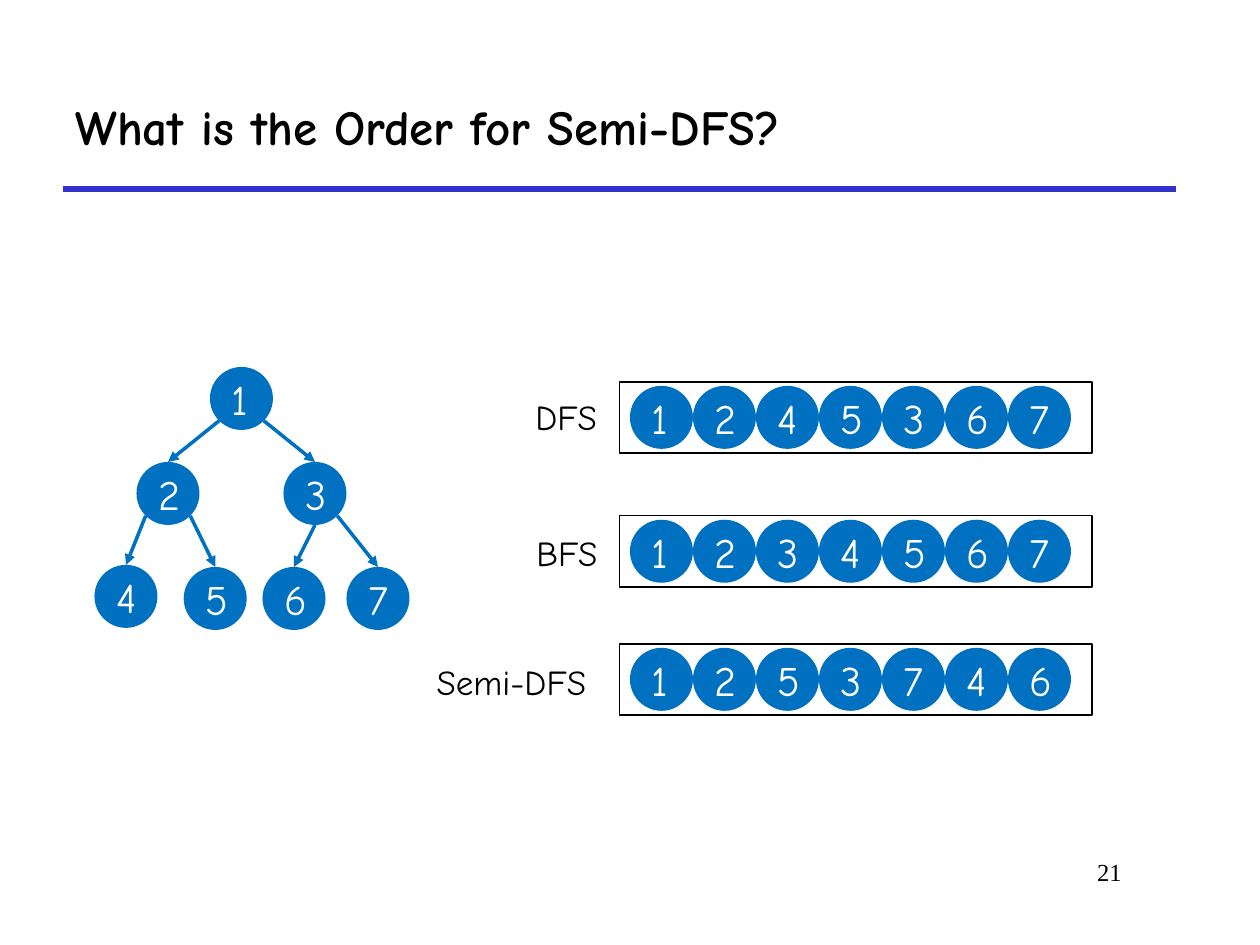
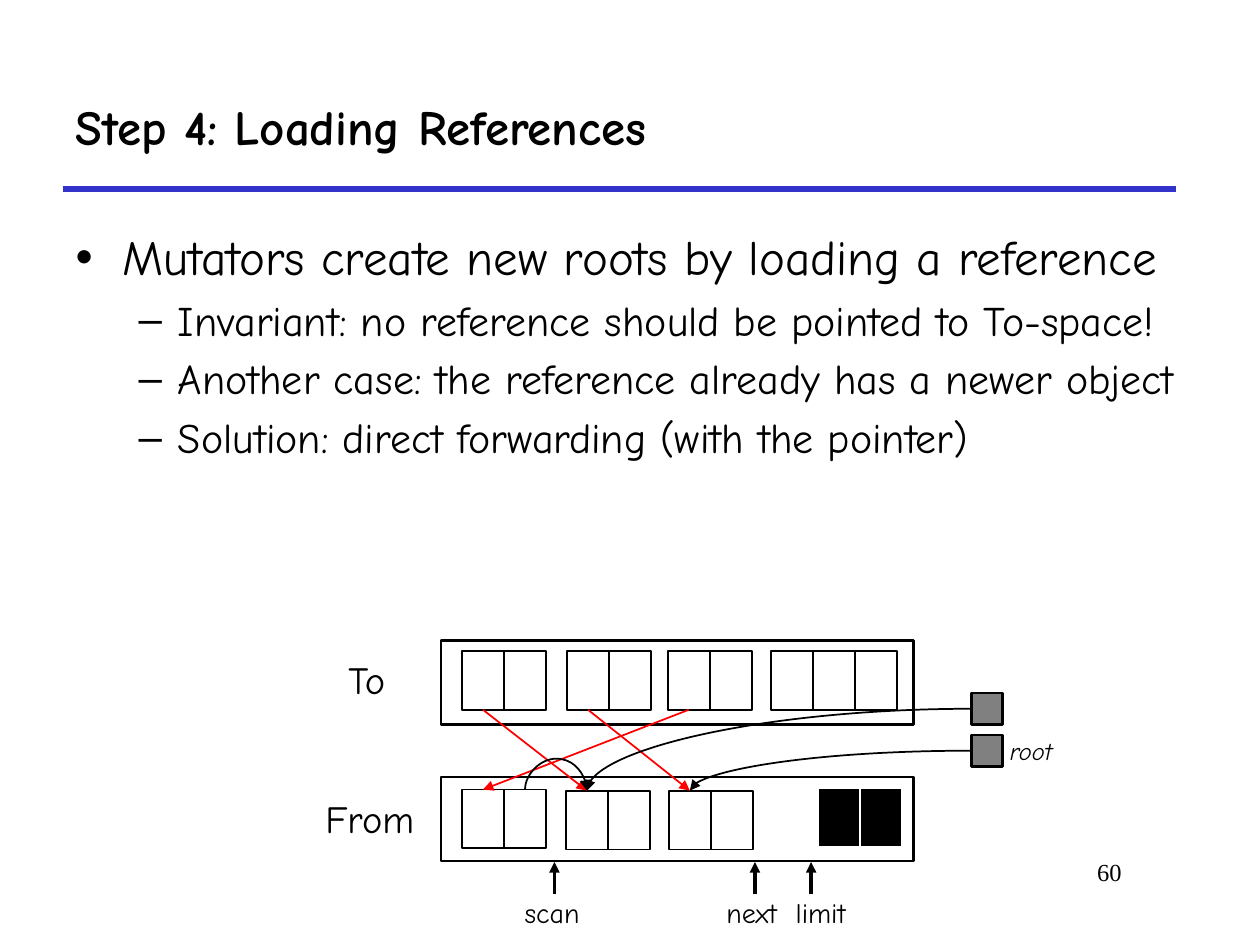
from lxml.etree import SubElement
from pptx import Presentation
from pptx.dml.color import RGBColor
from pptx.enum.shapes import MSO_CONNECTOR as CONN, MSO_SHAPE as SHAPE
from pptx.enum.text import MSO_ANCHOR as ANCHOR, MSO_AUTO_SIZE as FIT, PP_ALIGN as ALIGN
from pptx.oxml.ns import qn
from pptx.util import Inches, Pt

prs = Presentation()
prs.slide_width, prs.slide_height = Inches(10), Inches(7.5)

# Grid: 120 columns by 90 rows of square units
U = prs.slide_width // 120
BLACK, WHITE, RULE, NODE, RED, GREY = "000000", "FFFFFF", "3333CC", "0070C0", "FF0000", "808080"
FONT = "Comic Neue"
NODE_D = 6


def rgb(hex_code):
    return RGBColor.from_string(hex_code)


def box(s, kind, at, text="", fill=None, line=None, color=BLACK, wrap=False,
        align=ALIGN.LEFT, **fmt):
    """Add a shape, or a text box when kind is None, at (col, row, width, height)."""
    at = [round(v * U) for v in at]
    if kind is None:
        sp = s.shapes.add_textbox(*at)
    else:
        sp = s.shapes.add_shape(kind, *at)
        sp.shadow.inherit = False
        sp.text_frame.vertical_anchor = ANCHOR.MIDDLE
        if fill:
            sp.fill.solid()
            sp.fill.fore_color.rgb = rgb(fill)
        else:
            sp.fill.background()
        if line:
            sp.line.color.rgb, sp.line.width = rgb(line[0]), Pt(line[1])
        else:
            sp.line.fill.background()
    if text:
        tf = sp.text_frame
        tf.word_wrap = wrap
        p = tf.paragraphs[0]
        p.alignment = align
        r = p.add_run()
        r.text = text
        r.font.color.rgb = rgb(color)
        for key, value in {"name": FONT, **fmt}.items():
            setattr(r.font, key, value)
    return sp


# Shared frame: title, rule and page number
links = []  # (slide, preset, begin, end, colour, width, arrow)
slides = []
for layout, title, page in [(5, "What is the Order for Semi-DFS?", "21"),
                            (1, "Step 4: Loading References", "60")]:
    s = prs.slides.add_slide(prs.slide_layouts[layout])
    sp = s.shapes.title
    sp.left, sp.top, sp.width, sp.height = 6 * U, 6 * U, 106 * U, 12 * U
    tf = sp.text_frame
    tf.text = title
    tf.auto_size, tf.vertical_anchor = FIT.NONE, ANCHOR.MIDDLE
    p = tf.paragraphs[0]
    p.alignment = ALIGN.LEFT
    for key, value in {"name": FONT, "size": Pt(28), "bold": True}.items():
        setattr(p.runs[0].font, key, value)
    p.runs[0].font.color.rgb = rgb(BLACK)
    links.append((s, "line", (6, 18), (112, 18), RULE, 3, False))
    box(s, None, (83, 81, 25, 6), page, wrap=True, align=ALIGN.RIGHT,
        name="Times New Roman", size=Pt(14))
    slides.append(s)
order_slide, load_slide = slides

# Traversal slide: node tree
tree = {1: (20, 34.95), 2: (13, 44), 3: (27, 44),
        4: (9, 53.8), 5: (17.5, 54), 6: (25, 54), 7: (33, 54)}
nodes = [(n, col, row) for n, (col, row) in tree.items()]

# Traversal slide: visiting orders
for label, order, row, label_at in [
        ("DFS", "1245367", 36.35, (49.8, 37.1, 9.2, 5.3)),
        ("BFS", "1234567", 49.1, (49.9, 50.05, 8.9, 5.3)),
        ("Semi-DFS", "1253746", 61.3, (40.4, 62.3, 18.4, 5.3))]:
    box(order_slide, SHAPE.RECTANGLE, (59, row, 45, 6.8), line=(BLACK, 1))
    box(order_slide, None, label_at, label, size=Pt(20))
    nodes += [(n, 60 + NODE_D * i, row + 0.4) for i, n in enumerate(order)]
for n, col, row in nodes:
    box(order_slide, SHAPE.OVAL, (col, row, NODE_D, NODE_D), str(n), fill=NODE,
        color=WHITE, wrap=True, size=Pt(24))

# Tree edges leave at 45 degrees, except 3 to 6, which leaves from the bottom
R = NODE_D / 2
DIAG = R * 0.5 ** 0.5
for parent, child, dx, dy in [(1, 2, -DIAG, DIAG), (1, 3, DIAG, DIAG), (2, 4, -DIAG, DIAG),
                              (2, 5, DIAG, DIAG), (3, 6, 0, R), (3, 7, DIAG, DIAG)]:
    (px, py), (cx, cy) = tree[parent], tree[child]
    links.append((order_slide, "line", (px + R + dx, py + R + dy), (cx + R, cy),
                  NODE, 2, True))

# Loading slide: bullet list
body = load_slide.placeholders[1]
body.left, body.top, body.width, body.height = 6 * U, 21 * U, 109 * U, 58 * U
tf = body.text_frame
tf.auto_size = FIT.NONE
for i, (level, text) in enumerate([
        (0, "Mutators create new roots by loading a reference"),
        (1, "Invariant: no reference should be pointed to To-space!"),
        (1, "Another case: the reference already has a newer object"),
        (1, "Solution: direct forwarding (with the pointer)")]):
    size, margin, hang, bullet = [(28, 4.5, 4.5, "•"), (24, 9.75, 3.75, "–")][level]
    p = tf.add_paragraph() if i else tf.paragraphs[0]
    p.level = level
    if i == 0:
        p.space_before = Pt(0)
    pPr = p._p.get_or_add_pPr()
    pPr.set("marL", str(round(margin * U)))
    pPr.set("indent", str(round(-hang * U)))
    SubElement(pPr, qn("a:buChar"), char=bullet)
    r = p.add_run()
    r.text = text
    r.font.name, r.font.size, r.font.color.rgb = FONT, Pt(size), rgb(BLACK)

# Loading slide: the two spaces
for label, row, label_at in [("To", 61, (32, 61.9, 7, 5.6)),
                             ("From", 74, (29.8, 75.1, 11.3, 5.6))]:
    box(load_slide, SHAPE.RECTANGLE, (42, row, 45, 8), line=(BLACK, 1.5))
    box(load_slide, None, label_at, label, size=Pt(22))

# Objects in each space, as runs of cells: (column, row, cells, fill, line)
objects = []
for col, row, count, fill, line in [
        (44, 62, 2, None, BLACK), (54, 62, 2, None, BLACK),
        (63.6, 62, 2, None, BLACK), (73.4, 62, 3, None, BLACK),
        (44, 75.2, 2, None, BLACK), (53.9, 75.3, 2, None, BLACK),
        (63.7, 75.3, 2, None, BLACK), (77.9, 75.1, 2, BLACK, WHITE)]:
    objects.append([box(load_slide, SHAPE.RECTANGLE, (col + 4 * i, row, 4, 5.6),
                        fill=fill, line=(line, 1)) for i in range(count)])
to1, to2, to3, _, from1, from2, from3, _ = objects

# Roots
roots = [box(load_slide, SHAPE.RECTANGLE, (92.5, row, 3, 3), fill=GREY, line=(BLACK, 1.5))
         for row in (66, 70)]
box(load_slide, None, (95, 69.5, 7.2, 4.1), "root", size=Pt(14), italic=True)

# Position markers under From
for label, col, left, width in [("scan", 52.8, 48.8, 7.9), ("next", 71.9, 68, 8.2),
                                ("limit", 77.25, 74.6, 8)]:
    links.append((load_slide, "line", (col, 85.1), (col, 82.1), BLACK, 2, True))
    box(load_slide, None, (left, 84.7, width, 4.4), label, size=Pt(16))

# References between objects: sites 0 top, 1 left, 2 bottom
for source, target in [(to1, from2), (to2, from3), (to3, from1)]:
    links.append((load_slide, "line", (source[0], 2), (target[0], 0), RED, 1, True))
for root, target in zip(roots, (from2, from3)):
    links.append((load_slide, "curvedConnector2", (root, 1), (target[0], 0), BLACK, 1, True))
links.append((load_slide, "curvedConnector3", (from1[1], 0), (from2[0], 0), BLACK, 1, True))

# Draw every line and arrow
for s, preset, begin, end, color, width, arrow in links:
    c = s.shapes.add_connector(CONN.STRAIGHT if preset == "line" else CONN.CURVE, 0, 0, 0, 0)
    if isinstance(begin[0], (int, float)):
        c.begin_x, c.begin_y = [round(v * U) for v in begin]
        c.end_x, c.end_y = [round(v * U) for v in end]
    else:
        c.begin_connect(*begin)
        c.end_connect(*end)
    c.line.color.rgb, c.line.width = rgb(color), Pt(width)
    spPr = c._element.spPr
    geom = spPr.find(qn("a:prstGeom"))
    geom.set("prst", preset)
    if arrow:
        SubElement(spPr.find(qn("a:ln")), qn("a:tailEnd"), type="triangle")
    SubElement(spPr, qn("a:effectLst"))
    if preset == "curvedConnector3":
        # Loop above two neighbouring cells: a thin frame turned upright
        c.left, c.top, c.width, c.height = [round(v * U) for v in (52.9, 72.3, 0.1, 5.9)]
        xfrm = spPr.find(qn("a:xfrm"))
        for key, value in {"rot": "16200000", "flipH": "1", "flipV": "0"}.items():
            xfrm.set(key, value)
        SubElement(geom.find(qn("a:avLst")), qn("a:gd"), name="adj1", fmla="val -2970000")

prs.save("out.pptx")
